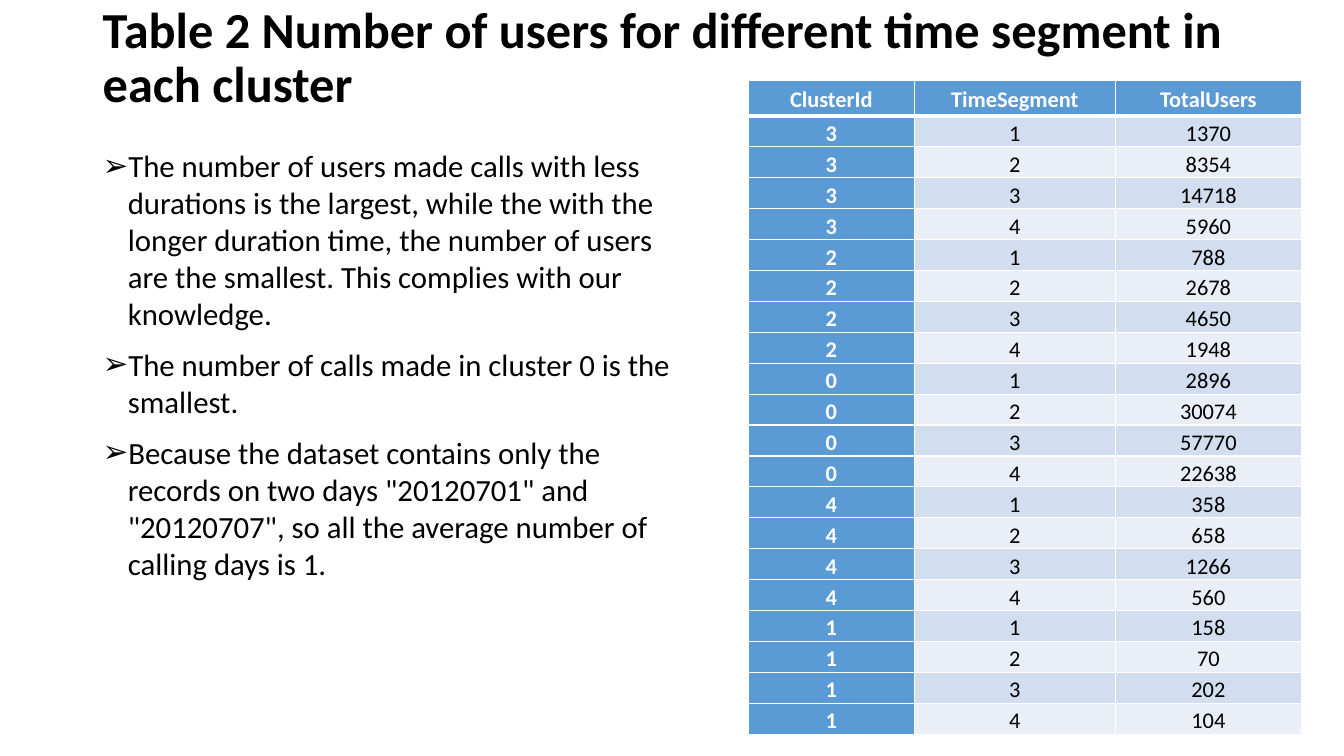
from lxml.etree import SubElement
from pptx import Presentation
from pptx.dml.color import RGBColor
from pptx.enum.text import MSO_ANCHOR, PP_ALIGN
from pptx.oxml.ns import qn
from pptx.util import Inches, Pt

TITLE = "Table 2 Number of users for different time segment in each cluster"
FINDINGS = [
    "The number of users made calls with less durations is the largest, while the with the "
    "longer duration time, the number of users are the smallest. This complies with our knowledge.",
    "The number of calls made in cluster 0 is the smallest.",
    'Because the dataset contains only the records on two days "20120701" and "20120707", '
    "so all the average number of calling days is 1.",
]
HEADERS = ["ClusterId", "TimeSegment", "TotalUsers"]
USERS_BY_CLUSTER = {
    3: [1370, 8354, 14718, 5960],
    2: [788, 2678, 4650, 1948],
    0: [2896, 30074, 57770, 22638],
    4: [358, 658, 1266, 560],
    1: [158, 70, 202, 104],
}
COLUMN_WIDTHS = [1.65, 1.99, 1.85]
HEADER_HEIGHT, ROW_HEIGHT = 0.35, 0.29


def color(hex_code):
    return RGBColor.from_string(hex_code)


def apply(target, values):
    for name, value in values.items():
        setattr(target, name, value)


class UserSlide:
    font = "Calibri"
    ink, paper, accent = "000000", "FFFFFF", "5B9BD5"
    bands = ["D2DEEF", "EAEFF7"]

    def __init__(self, page):
        self.page = page

    def add_text(self, para, text, size, ink, bold=False, **layout):
        apply(para, layout)
        span = para.add_run()
        span.text = text
        apply(span.font, {"name": self.font, "size": Pt(size), "bold": bold})
        span.font.color.rgb = color(ink)

    def frame(self, left, top, width, height, anchor):
        box = self.page.shapes.add_textbox(*map(Inches, (left, top, width, height)))
        apply(box.text_frame, {"word_wrap": True, "vertical_anchor": anchor})
        return box.text_frame

    def title(self, text, *place):
        frame = self.frame(*place, MSO_ANCHOR.MIDDLE)
        self.add_text(frame.paragraphs[0], text, 36, self.ink, bold=True, line_spacing=0.9)

    def bullets(self, texts, *place):
        frame = self.frame(*place, MSO_ANCHOR.TOP)
        for index, text in enumerate(texts):
            para = frame.add_paragraph() if index else frame.paragraphs[0]
            self.add_text(para, text, 22, self.ink, space_before=Pt(10))
            props = para._p.get_or_add_pPr()
            props.set("marL", str(Inches(0.25)))
            props.set("indent", str(-Inches(0.25)))
            SubElement(props, qn("a:buFont"), typeface="Arial")
            SubElement(props, qn("a:buChar"), char="➢")

    def borders(self, cell, **widths):
        """Draw the cell edges L, R, T and B, in that order, at widths in points."""
        props = cell._tc.get_or_add_tcPr()
        for side, width in widths.items():
            line = SubElement(props, qn(f"a:ln{side}"), w=str(Pt(width)))
            fill = SubElement(line, qn("a:solidFill"))
            SubElement(fill, qn("a:srgbClr"), val=self.paper)

    def cell(self, cell, text, row, column):
        heading = row == 0 or column == 0
        self.borders(cell, L=1, R=1, T=3 if row == 1 else 1, B=3 if row == 0 else 1)
        cell.fill.solid()
        cell.fill.fore_color.rgb = color(self.accent if heading else self.bands[(row - 1) % 2])
        apply(cell, {"vertical_anchor": MSO_ANCHOR.MIDDLE, "margin_top": 0, "margin_bottom": 0,
                     "margin_left": Inches(0.07), "margin_right": Inches(0.07)})
        self.add_text(cell.text_frame.paragraphs[0], text, 16, self.paper if heading else self.ink,
                      bold=heading, alignment=PP_ALIGN.CENTER, line_spacing=1.15)

    def table(self, rows, left, top):
        heights = [HEADER_HEIGHT] + [ROW_HEIGHT] * (len(rows) - 1)
        place = map(Inches, (left, top, sum(COLUMN_WIDTHS), sum(heights)))
        table = self.page.shapes.add_table(len(rows), len(COLUMN_WIDTHS), *place).table
        apply(table, {"first_col": True, "horz_banding": True})
        for column, width in zip(table.columns, COLUMN_WIDTHS):
            column.width = Inches(width)
        for row, (height, values) in enumerate(zip(heights, rows)):
            table.rows[row].height = Inches(height)
            for column, value in enumerate(values):
                self.cell(table.cell(row, column), str(value), row, column)


def main():
    deck = Presentation()
    apply(deck, {"slide_width": Inches(13.33), "slide_height": Inches(7.5)})
    slide = UserSlide(deck.slides.add_slide(deck.slide_layouts[6]))
    rows = [HEADERS] + [
        (cluster, segment, users)
        for cluster, totals in USERS_BY_CLUSTER.items()
        for segment, users in enumerate(totals, 1)
    ]
    slide.title(TITLE, 0.92, 0.21, 11.5, 0.76)
    slide.table(rows, 7.42, 0.8)
    slide.bullets(FINDINGS, 0.92, 1.41, 6, 5.35)
    deck.save("out.pptx")


if __name__ == "__main__":
    main()
